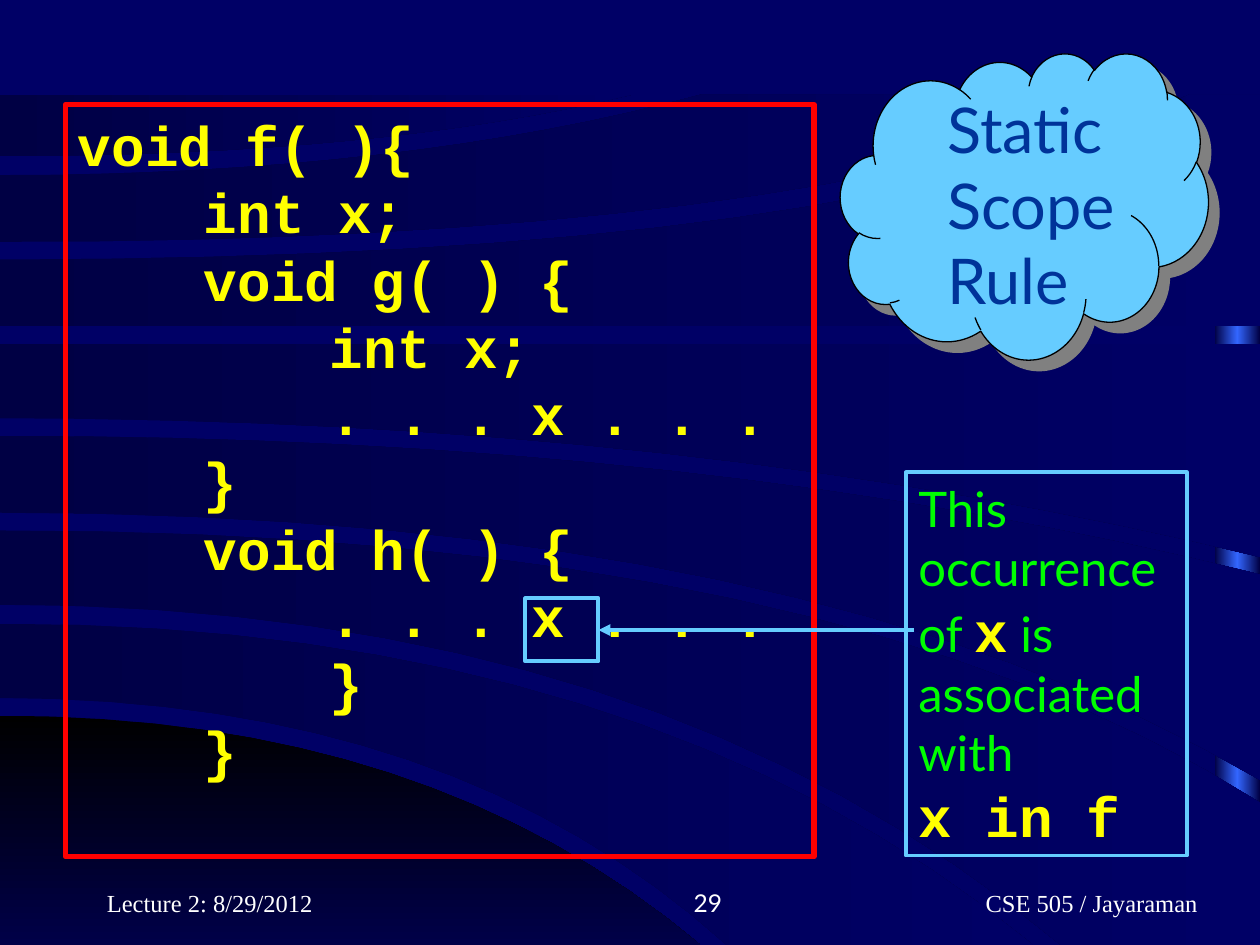
"""Build the slide on the static scope rule: nested code, a cloud and a call-out."""
import copy

import lxml.etree
import pptx
import pptx.dml.color
import pptx.enum.shapes
import pptx.enum.text
import pptx.oxml.ns
import pptx.util

Inches = pptx.util.Inches
Color = pptx.dml.color.RGBColor.from_string
qualify = pptx.oxml.ns.qn
Shape = pptx.enum.shapes.MSO_SHAPE
Align = pptx.enum.text.PP_ALIGN
Anchor = pptx.enum.text.MSO_ANCHOR

THEME = {
    "navy": "000066", "deep": "000044", "fade": "000048", "black": "000000",
    "glow": "3366FF", "sky": "66CCFF", "red": "FF0000", "shade": "808080",
    "code": {"name": "Courier New", "size": 32, "bold": True, "color": "FFFF00"},
    "note": {"name": "Lato", "size": 28, "bold": False, "color": "00FF00"},
    "title": {"name": "Lato", "size": 36, "bold": False, "color": "003399"},
    "number": {"name": "Lato", "size": 14, "bold": False, "color": "FFFFFF"},
    "footer": {"name": "Times New Roman", "size": 14, "bold": False, "color": "FFFFFF"},
}


def paint_gradient(shape, angle, colours):
    """Fill a shape with evenly spaced colour stops and no outline."""
    shape.shadow.inherit = False
    shape.line.fill.background()
    shape.fill.gradient()
    shape.fill.gradient_angle = angle
    stop_list = next(shape._element.iter(qualify("a:gsLst")))
    while len(stop_list) < len(colours):
        stop_list.append(copy.deepcopy(stop_list[-1]))
    for index, (stop, colour) in enumerate(zip(shape.fill.gradient_stops, colours)):
        stop.position = index / (len(colours) - 1)
        stop.color.rgb = Color(THEME[colour])


def write(box, lines, anchor=Anchor.TOP, align=Align.LEFT):
    """Write lines given as (indent in inches, [(text, style), ...])."""
    frame = box.text_frame
    frame.word_wrap = True
    frame.vertical_anchor = anchor
    for index, (indent, spans) in enumerate(lines):
        para = frame.paragraphs[0] if index == 0 else frame.add_paragraph()
        para.alignment = align
        para._p.get_or_add_pPr().set("marL", str(Inches(indent)))
        for text, style in spans:
            span = para.add_run()
            span.text = text
            values = dict(THEME[style])
            span.font.color.rgb = Color(values.pop("color"))
            values["size"] = pptx.util.Pt(values["size"])
            for name, value in values.items():
                setattr(span.font, name, value)


deck = pptx.Presentation()
deck.slide_width, deck.slide_height = Inches(10), Inches(7.5)
page = deck.slides.add_slide(deck.slide_layouts[6])
page.background.fill.solid()
page.background.fill.fore_color.rgb = Color(THEME["navy"])

bar = page.shapes.add_shape(
    Shape.RECTANGLE, Inches(9.64), Inches(0.77), Inches(0.36), Inches(6.73))
paint_gradient(bar, 0, ("deep", "glow", "deep"))

ribbon_edges = [
    ((5.68, 3.4, 5.56, 7.5), (7.5, 3, 5.56, 7.5)),
    ((4.95, 5.1, 8.2, 7.5), (5.54, 3.6, 5.77, 7.5)),
    ((4.21, 6.6, 10, 6.37), (4.8, 5.2, 8.42, 7.5)),
    ((3.46, 5.6, 10, 4.56), (4.07, 6.4, 10, 6.19)),
    ((2.73, 5, 10, 2.73), (3.32, 5.5, 10, 4.42)),
    ((2.06, 6.9, 9.44, 0.75), (2.59, 5, 10, 2.59)),
    ((1.39, 3.2, 5.57, 0.75), (1.92, 6.3, 9.18, 0.75)),
    ((0.75, 3, 5.02, 0.75), (1.24, 3, 5.02, 0.75)),
]
steps = 16
for index, edges in enumerate(ribbon_edges):
    top, bottom = [
        [(2 * t * (1 - t) * bend + t * t * end_x, start + t * t * (end_y - start))
         for t in (step / steps for step in range(steps + 1))]
        for start, bend, end_x, end_y in edges
    ]
    ends = sorted([top[-1], bottom[-1]])
    corner = (ends[1][0], ends[0][1])
    outline = [(Inches(x), Inches(y)) for x, y in top + [corner] + bottom[::-1]]
    builder = page.shapes.build_freeform(*outline[0])
    builder.add_line_segments(outline[1:], close=True)
    look = (270, ("black", "fade")) if index == 0 else (0, ("deep", "navy"))
    paint_gradient(builder.convert_to_shape(), *look)

cloud = page.shapes.add_shape(
    Shape.CLOUD, Inches(6.67), Inches(0.42), Inches(2.92), Inches(2.43))
cloud.shadow.inherit = False
cloud.fill.solid()
cloud.fill.fore_color.rgb = Color(THEME["sky"])
cloud.line.color.rgb = Color(THEME["black"])
cloud.line.width = pptx.util.Pt(0.75)
shadow = lxml.etree.SubElement(
    cloud._element.spPr.find(qualify("a:effectLst")), qualify("a:outerShdw"),
    dist=str(pptx.util.Pt(8.5)), dir="2700000", algn="ctr", rotWithShape="0")
lxml.etree.SubElement(shadow, qualify("a:srgbClr"), val=THEME["shade"])

program = [
    (0, "void f( ){"), (1, "int x;"), (1, "void g( ) {"), (2, "int x;"),
    (2, ". . . x . . ."), (1, "}"), (1, "void h( ) {"), (2, ". . . x . . ."),
    (2, "}"), (1, "}"),
]
program_lines = [(depth, [(text, "code")]) for depth, text in program]
note_lines = [
    (0, [("This", "note")]),
    (0, [("occurrence", "note")]),
    (0, [("of ", "note"), ("x", "code"), (" is", "note")]),
    (0, [("associated", "note")]),
    (0, [("with", "note")]),
    (0, [("x in f", "code")]),
]
frames = [
    ((0.52, 0.83, 5.94, 5.97), "red", 3, program_lines),
    ((4.17, 4.75, 0.58, 0.5), "sky", 2.25, []),
    ((7.19, 3.75, 2.23, 3.04), "sky", 2.25, note_lines),
]
for place, colour, width, lines in frames:
    box = page.shapes.add_shape(Shape.RECTANGLE, *map(Inches, place))
    box.shadow.inherit = False
    box.fill.background()
    box.line.color.rgb = Color(THEME[colour])
    box.line.width = pptx.util.Pt(width)
    write(box, lines)

title_lines = [(0, [(word, "title")]) for word in ("Static", "Scope", "Rule")]
labels = [
    ((7.42, 0.67, 1.83, 1.9), title_lines, Anchor.TOP, Align.LEFT),
    ((0.75, 6.83, 2.08, 0.5), [(0, [("Lecture 2: 8/29/2012", "footer")])],
     Anchor.BOTTOM, Align.LEFT),
    ((3.75, 6.83, 2.08, 0.5), [(0, [("29", "number")])], Anchor.BOTTOM, Align.RIGHT),
    ((6.58, 6.83, 3.17, 0.5), [(1, [("CSE 505 / Jayaraman", "footer")])],
     Anchor.BOTTOM, Align.CENTER),
]
for place, lines, anchor, align in labels:
    write(page.shapes.add_textbox(*map(Inches, place)), lines, anchor, align)

arrow = page.shapes.add_connector(
    pptx.enum.shapes.MSO_CONNECTOR.STRAIGHT,
    Inches(7.25), Inches(5), Inches(4.75), Inches(5))
arrow.line.color.rgb = Color(THEME["sky"])
arrow.line.width = pptx.util.Pt(2.25)
lxml.etree.SubElement(arrow.line._get_or_add_ln(), qualify("a:tailEnd"), type="triangle")
lxml.etree.SubElement(arrow._element.spPr, qualify("a:effectLst"))

deck.save("out.pptx")
